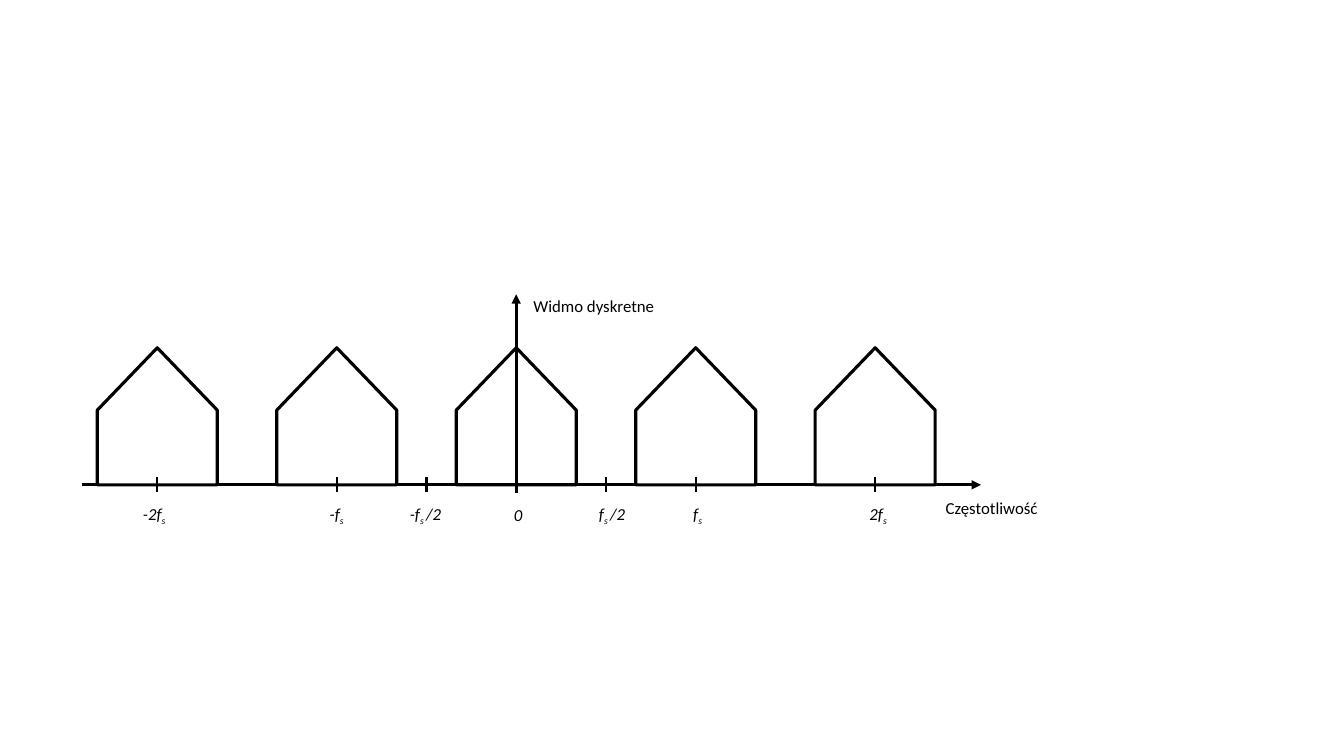
from dataclasses import dataclass

from lxml import etree
from pptx import Presentation
from pptx.dml.color import RGBColor
from pptx.enum.shapes import MSO_CONNECTOR, MSO_SHAPE
from pptx.enum.text import MSO_ANCHOR, PP_ALIGN
from pptx.oxml.ns import qn
from pptx.slide import Slide
from pptx.util import Inches, Pt

BLACK = RGBColor(0, 0, 0)
WHITE = RGBColor(255, 255, 255)
FONT = "Calibri"

ORIGIN_X = 5.12
AXIS_Y = 4.81
SAMPLING_STEP = 1.78  # width of one sampling frequency on the axis
SPECTRUM_WIDTH = 1.19
SPECTRUM_HEIGHT = 1.36
SPECTRUM_CENTER_Y = 4.13
TICK_TOP, TICK_BOTTOM = 4.73, 4.88
LABEL_WIDTH, LABEL_HEIGHT = 0.6, 0.3
LABEL_TOP = 4.96


@dataclass(frozen=True)
class Frequency:
    """A marked frequency, in multiples of the sampling frequency."""
    multiple: float
    text: str
    subscript: str = ""
    suffix: str = ""
    nudge: float = 0.0

    @property
    def x(self) -> float:
        """Horizontal position on the slide, in inches."""
        return ORIGIN_X + self.multiple * SAMPLING_STEP


FREQUENCIES = [
    Frequency(0, "0", nudge=0.02),
    Frequency(-2, "-2f", "s", nudge=-0.03),
    Frequency(-1, "-f", "s"),
    Frequency(-0.5, "-f", "s ", "/2", nudge=-0.01),
    Frequency(0.5, "f", "s ", "/2", nudge=0.06),
    Frequency(1, "f", "s", nudge=0.02),
    Frequency(2, "2f", "s", nudge=0.03),
]


def add_line(slide: Slide, start: tuple[float, float], end: tuple[float, float],
             width: float, arrow: bool = False) -> None:
    """Draw a black straight line, optionally with an arrowhead at its end."""
    line = slide.shapes.add_connector(
        MSO_CONNECTOR.STRAIGHT, *(Inches(v) for v in (*start, *end)))
    line.line.color.rgb = BLACK
    line.line.width = Pt(width)
    if arrow:
        etree.SubElement(line.line._get_or_add_ln(), qn("a:tailEnd"), type="triangle")
    etree.SubElement(line._element.spPr, qn("a:effectLst"))


def add_spectrum(slide: Slide, frequency: Frequency) -> None:
    """Draw one upward-pointing copy of the spectrum around a frequency."""
    spectrum = slide.shapes.add_shape(
        MSO_SHAPE.PENTAGON,
        Inches(frequency.x - SPECTRUM_HEIGHT / 2),
        Inches(SPECTRUM_CENTER_Y - SPECTRUM_WIDTH / 2),
        Inches(SPECTRUM_HEIGHT), Inches(SPECTRUM_WIDTH))
    spectrum.rotation = 270
    spectrum.adjustments[0] = 0.52
    spectrum.shadow.inherit = False
    spectrum.fill.solid()
    spectrum.fill.fore_color.rgb = WHITE
    spectrum.line.color.rgb = BLACK
    spectrum.line.width = Pt(2.25)


def add_text(slide: Slide, left: float, top: float, width: float,
             parts: list[str], italic: bool = False,
             align: PP_ALIGN = PP_ALIGN.LEFT) -> None:
    """Write text whose second part, if any, is a subscript."""
    box = slide.shapes.add_textbox(
        Inches(left), Inches(top), Inches(width), Inches(LABEL_HEIGHT))
    frame = box.text_frame
    frame.word_wrap = True
    frame.vertical_anchor = MSO_ANCHOR.MIDDLE
    frame.margin_left = frame.margin_right = 0
    paragraph = frame.paragraphs[0]
    paragraph.alignment = align
    for index, part in enumerate(parts):
        if not part:
            continue
        run = paragraph.add_run()
        run.text = part
        run.font.name = FONT
        run.font.size = Pt(12)
        run.font.italic = italic
        run.font.color.rgb = BLACK
        if index == 1:
            run.font._element.set("baseline", "-25000")


def add_frequency_mark(slide: Slide, frequency: Frequency) -> None:
    """Draw the tick and the label of a frequency."""
    add_line(slide, (frequency.x, TICK_TOP), (frequency.x, TICK_BOTTOM), 1.5)
    add_text(slide, frequency.x + frequency.nudge - LABEL_WIDTH / 2, LABEL_TOP,
             LABEL_WIDTH, [frequency.text, frequency.subscript, frequency.suffix],
             italic=True, align=PP_ALIGN.CENTER)


def main() -> None:
    """Build the discrete spectrum slide."""
    prs = Presentation()
    prs.slide_width, prs.slide_height = Inches(13.33), Inches(7.5)
    slide = prs.slides.add_slide(prs.slide_layouts[6])

    baseband, *others = FREQUENCIES
    add_spectrum(slide, baseband)
    add_line(slide, (ORIGIN_X, 4.89), (ORIGIN_X, 2.92), 2.25, arrow=True)
    add_line(slide, (0.81, AXIS_Y), (9.73, AXIS_Y), 2.25, arrow=True)
    for frequency in others:
        if frequency.multiple == int(frequency.multiple):
            add_spectrum(slide, frequency)
    for frequency in FREQUENCIES:
        add_frequency_mark(slide, frequency)

    add_text(slide, 9.38, 4.89, 1.1, ["Częstotliwość"])
    add_text(slide, 5.29, 2.88, 1.4, ["Widmo dyskretne"])
    prs.save("out.pptx")


main()
